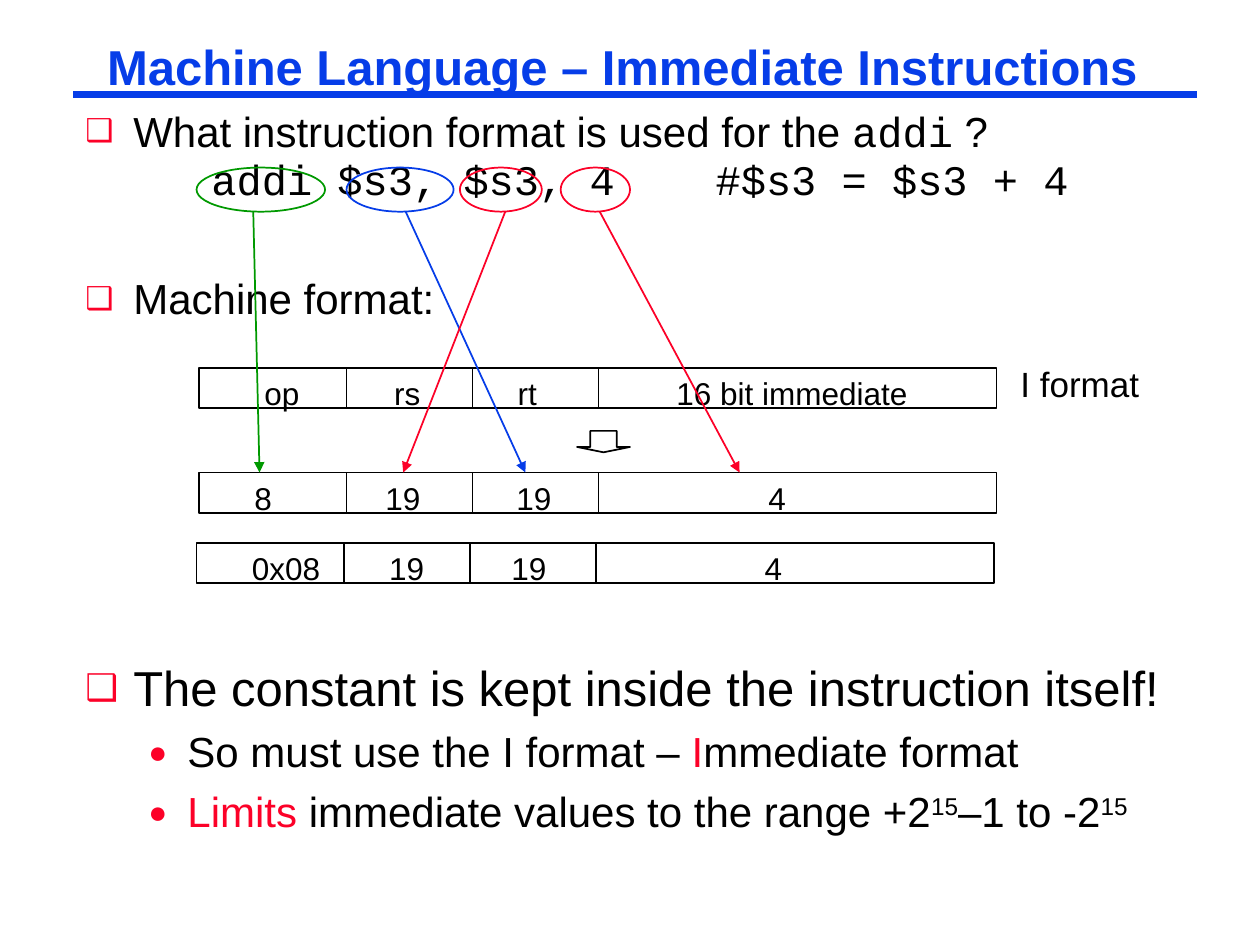
from lxml import etree
from pptx import Presentation
from pptx.dml.color import RGBColor
from pptx.enum.shapes import MSO_CONNECTOR, MSO_SHAPE
from pptx.enum.text import MSO_ANCHOR, PP_ALIGN
from pptx.oxml.ns import qn
from pptx.util import Inches, Pt

BLUE = RGBColor(0x06, 0x3D, 0xE8)
RED = RGBColor(0xFC, 0x01, 0x28)
GREEN = RGBColor(0x00, 0x99, 0x00)
BLACK = RGBColor(0, 0, 0)

STRAIGHT = MSO_CONNECTOR.STRAIGHT
RECTANGLE, OVAL, DOWN_ARROW = MSO_SHAPE.RECTANGLE, MSO_SHAPE.OVAL, MSO_SHAPE.DOWN_ARROW
LEFT, TOP, MIDDLE = PP_ALIGN.LEFT, MSO_ANCHOR.TOP, MSO_ANCHOR.MIDDLE

SANS, MONO = "Arial", "Courier New"
SQUARE, DOT = "❑", "●"
TITLE_LINE = 0.87


def add_line(page, start, end, color, width=1, arrow=False):
    line = page.shapes.add_connector(STRAIGHT, *map(Inches, start + end))
    line.line.color.rgb = color
    line.line.width = Pt(width)
    if arrow:
        etree.SubElement(line.line._get_or_add_ln(), qn("a:tailEnd"), type="triangle")
    etree.SubElement(line._element.spPr, qn("a:effectLst"))


def add_outline(page, kind, box, color):
    shape = page.shapes.add_shape(kind, *map(Inches, box))
    shape.shadow.inherit = False
    shape.fill.background()
    shape.line.color.rgb = color
    shape.line.width = Pt(1)
    return shape


def add_text_frame(page, box):
    frame = page.shapes.add_textbox(*map(Inches, box)).text_frame
    frame.word_wrap = True
    frame.vertical_anchor = TOP
    return frame


def set_indent(para, margin, hanging=0):
    properties = para._p.get_or_add_pPr()
    properties.set("marL", str(Inches(margin)))
    properties.set("indent", str(-Inches(hanging)))
    return properties


def set_bullet(para, char, margin, hanging):
    properties = set_indent(para, margin, hanging)
    color = etree.SubElement(properties, qn("a:buClr"))
    etree.SubElement(color, qn("a:srgbClr"), val=str(RED))
    etree.SubElement(properties, qn("a:buSzPct"), val="75000")
    etree.SubElement(properties, qn("a:buFont"), typeface=SANS)
    etree.SubElement(properties, qn("a:buChar"), char=char)


def set_tabs(para, stops):
    tabs = etree.SubElement(para._p.get_or_add_pPr(), qn("a:tabLst"))
    for stop in stops:
        etree.SubElement(tabs, qn("a:tab"), pos=str(Inches(stop)), algn="l")


def set_style(para, size, font=SANS, color=BLACK, spacing=1.0, before=0):
    para.alignment = LEFT
    para.line_spacing = spacing
    para.space_before = Pt(before)
    para.font.size = Pt(size)
    para.font.name = font
    para.font.color.rgb = color


def add_span(para, text, color=None, font=None, raised=False):
    span = para.add_run()
    span.text = text
    if color is not None:
        span.font.color.rgb = color
    if font:
        span.font.name = font
    if raised:
        span.font._element.set("baseline", "30000")


def add_title(page, box):
    title = page.shapes.title
    title.left, title.top, title.width, title.height = map(Inches, box)
    frame = title.text_frame
    frame.text = "Machine Language – Immediate Instructions"
    frame.vertical_anchor = MIDDLE
    frame.word_wrap = True
    para = frame.paragraphs[0]
    set_style(para, 28, color=BLUE, spacing=TITLE_LINE)
    para.font.bold = True
    add_line(page, (0.58, 0.75), (9.5, 0.75), BLUE, 4.5)


def add_question(page, box):
    frame = add_text_frame(page, box)
    question = frame.paragraphs[0]
    set_bullet(question, SQUARE, 0.38, 0.38)
    set_style(question, 24, spacing=0.9)
    add_span(question, "What instruction format is used for the ")
    add_span(question, "addi", font=MONO)
    add_span(question, " ?")

    code = frame.add_paragraph()
    set_indent(code, 1)
    set_style(code, 24, font=MONO, spacing=0.9, before=2)
    add_span(code, "addi $s3, $s3, 4    #$s3 = $s3 + 4")

    machine = frame.add_paragraph()
    set_bullet(machine, SQUARE, 0.38, 0.38)
    set_style(machine, 24, spacing=0.9, before=42)
    add_span(machine, "Machine format:")


def add_field_row(page, box, labels, inset, stops):
    """Draw one instruction word: outline, three dividers, tabbed labels."""
    left, top, width, height = box
    add_outline(page, RECTANGLE, box, BLACK)
    for offset in (1.17, 2.17, 3.17):
        add_line(page, (left + offset, top), (left + offset, top + height), BLACK)
    frame = add_text_frame(page, (left + inset, top, width - inset, 0.4))
    para = frame.paragraphs[0]
    set_tabs(para, stops)
    set_style(para, 18)
    add_span(para, "\t".join(labels))


def add_machine_format(page, left, top):
    width, height = 6.33, 0.32
    rows = (
        (0, 0, ("op", "rs", "rt", "16 bit immediate"), 0.42, (1.03, 2.01, 3.27)),
        (0, 0.83, ("8", "19", "19", "4"), 0.34, (1.04, 2.08, 4.08)),
        (-0.02, 1.39, ("0x08", "19", "19", "4"), 0.34, (1.09, 2.06, 4.07)),
    )
    for shift, drop, labels, inset, stops in rows:
        add_field_row(page, (left + shift, top + drop, width, height), labels, inset, stops)

    frame = add_text_frame(page, (left + 6.42, top - 0.09, 1.75, 0.43))
    set_style(frame.paragraphs[0], 20)
    add_span(frame.paragraphs[0], "I format")

    arrow = add_outline(page, DOWN_ARROW, (left + 3, top + 0.5, 0.42, 0.17), BLACK)
    arrow.adjustments[0], arrow.adjustments[1] = 0.5, 0.25


def add_operand_links(page, top, height, target):
    # Ellipse left and width, arrow start and end, colour
    links = (
        (1.56, 1.02, 2.01, 2.06, GREEN),
        (2.75, 0.85, 3.22, 4.17, BLUE),
        (3.65, 0.65, 4.01, 3.2, RED),
        (4.45, 0.55, 4.76, 5.87, RED),
    )
    for left, width, start, end, color in links:
        add_outline(page, OVAL, (left, top, width, height), color)
        add_line(page, (start, top + height), (end, target), color, arrow=True)


def add_conclusion(page, box):
    frame = add_text_frame(page, box)
    constant = frame.paragraphs[0]
    set_bullet(constant, SQUARE, 0.38, 0.38)
    set_style(constant, 28, spacing=0.95)
    add_span(constant, "The constant is kept inside the instruction itself!")

    points = (
        (("So must use the I format – ",), ("I", RED), ("mmediate format",)),
        (("Limits", RED), (" immediate values to the range +2",),
         ("15", None, None, True), ("–1 to -2",), ("15", None, None, True)),
    )
    for spans in points:
        para = frame.add_paragraph()
        para.level = 1
        set_bullet(para, DOT, 0.81, 0.31)
        set_style(para, 24, spacing=0.95, before=7)
        for span in spans:
            add_span(para, *span)


def main():
    deck = Presentation()
    deck.slide_width, deck.slide_height = Inches(10), Inches(7.5)
    page = deck.slides.add_slide(deck.slide_layouts[5])
    add_title(page, (0.75, 0.33, 8.7, 0.45))
    add_question(page, (0.58, 0.83, 9.17, 1.9))
    add_machine_format(page, 1.58, 2.92)
    add_conclusion(page, (0.58, 5.2, 9.17, 1.83))
    add_operand_links(page, 1.33, 0.35, 3.75)
    deck.save("out.pptx")


if __name__ == "__main__":
    main()
